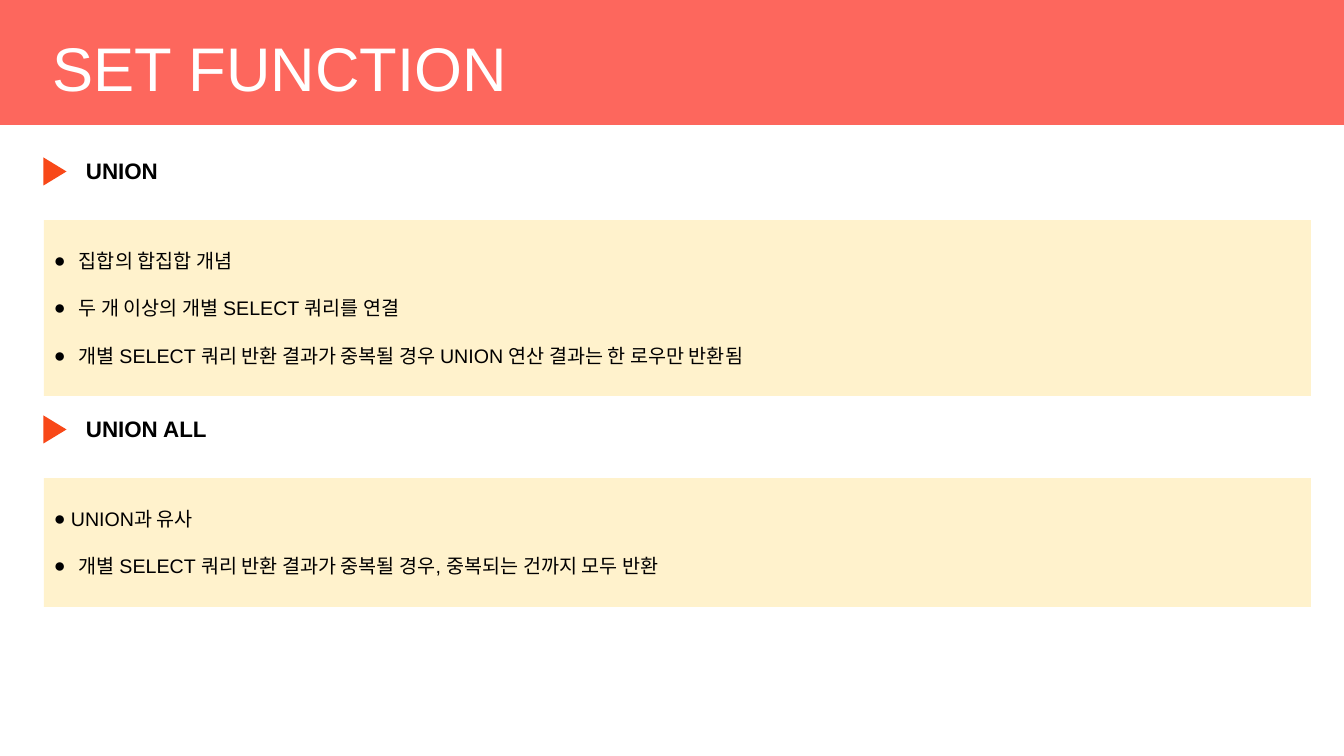
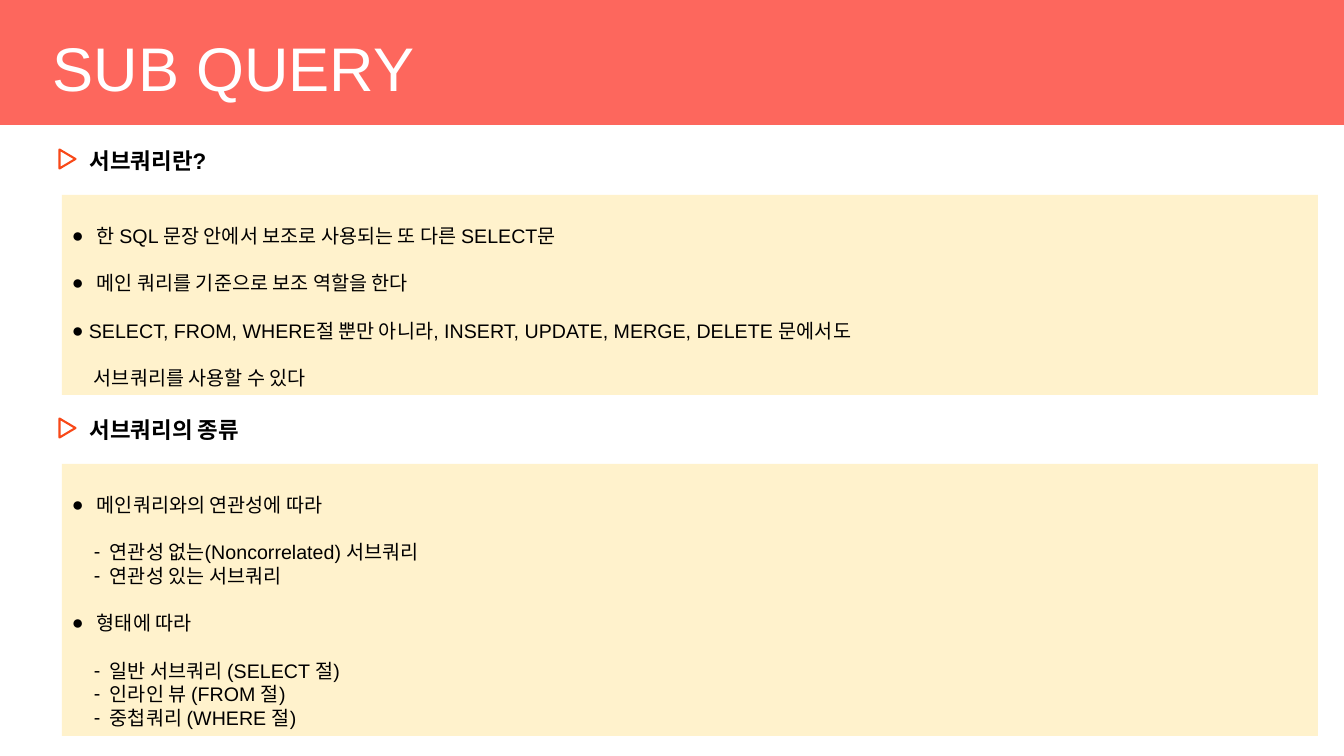
from pptx import Presentation
from pptx.dml.color import RGBColor
from pptx.enum.shapes import MSO_SHAPE
from pptx.enum.text import MSO_ANCHOR, PP_ALIGN
from pptx.oxml.xmlchemy import OxmlElement
from pptx.util import Emu, Pt

COLORS = {
    "band": "FD675D",
    "mark": "F84818",
    "box": "FFF2CC",
    "white": "FFFFFF",
    "black": "000000",
}
FONT = "Arial"
WIDE, HIGH = 1344, 756
GAP = 17  # points between items


def px(n):
    return Emu(round(n * 914400 / 100.8))


def color(name):
    return RGBColor.from_string(COLORS[name])


def write(para, text, size=14, bold=False, ink="black", gap=0):
    para.alignment = PP_ALIGN.LEFT
    para.space_before = Pt(gap)
    run = para.add_run()
    run.text = text
    run.font.name = FONT
    run.font.size = Pt(size)
    run.font.bold = bold
    run.font.color.rgb = color(ink)


def indent(para, left, hang, sign):
    props = para._p.get_or_add_pPr()
    props.set("marL", str(px(left)))
    props.set("indent", str(-px(hang)))
    if sign:
        for tag, key, value in (("a:buFont", "typeface", FONT),
                                ("a:buChar", "char", sign)):
            item = OxmlElement(tag)
            item.set(key, value)
            props.append(item)


class Deck:
    def __init__(self):
        self.prs = Presentation()
        self.prs.slide_width, self.prs.slide_height = px(WIDE), px(HIGH)
        self.slide = None

    # Slide with title band
    def page(self, title):
        self.slide = self.prs.slides.add_slide(self.prs.slide_layouts[6])
        self.shape(MSO_SHAPE.RECTANGLE, 0, 0, WIDE, 125, "band")
        self.label(title, 43, 30, 1159, 79, MSO_ANCHOR.BOTTOM,
                   size=44, ink="white")

    def shape(self, kind, x, y, w, h, fill, line=None):
        shape = self.slide.shapes.add_shape(kind, px(x), px(y), px(w), px(h))
        shape.shadow.inherit = False
        shape.fill.solid()
        shape.fill.fore_color.rgb = color(fill)
        if line:
            shape.line.color.rgb = color(line)
            shape.line.width = Pt(1.5)
        else:
            shape.line.fill.background()
        return shape

    def label(self, text, x, y, w, h, anchor=MSO_ANCHOR.TOP, **style):
        frame = self.slide.shapes.add_textbox(
            px(x), px(y), px(w), px(h)).text_frame
        frame.word_wrap = True
        frame.vertical_anchor = anchor
        write(frame.paragraphs[0], text, **style)

    # Triangle in front of a heading
    def mark(self, x, y, w, h, **style):
        kind = MSO_SHAPE.FLOWCHART_EXTRACT
        self.shape(kind, x, y, w, h, **style).rotation = 90

    # Tinted box with a list of (sign, text) items
    def panel(self, x, y, w, h, items):
        frame = self.shape(MSO_SHAPE.RECTANGLE, x, y, w, h, "box").text_frame
        frame.word_wrap = True
        frame.vertical_anchor = MSO_ANCHOR.TOP
        frame.margin_top = px(29)
        last = None
        for sign, text in items:
            para = frame.add_paragraph() if last is not None else frame.paragraphs[0]
            tight = last is None or sign == last == "-"
            write(para, text, gap=0 if tight else GAP)
            if sign == "●":
                hang = 17 if text[0].isascii() else 25
                indent(para, hang, hang, sign)
            elif sign == "-":
                indent(para, 38, 16, sign)
            else:
                indent(para, 22, 0, sign)
            last = sign

    # Solid mark, heading and panel
    def topic(self, y, head, h, items):
        self.label(head, 76, y, 932, 37, size=16, bold=True)
        self.mark(41, y + 8, 28, 23, fill="mark")
        self.panel(44, y + 68, 1267, h, items)

    # Outlined mark, heading and panel
    def point(self, y, head, h, items):
        self.label(head, 80, y, 932, 37, size=16, bold=True)
        self.mark(58, y + 9, 19, 16, fill="white", line="mark")
        self.panel(62, y + 53, 1256, h, items)


def main():
    deck = Deck()

    # Set functions
    deck.page("SET FUNCTION")
    deck.topic(152, "UNION", 176, [
        ("●", "집합의 합집합 개념"),
        ("●", "두 개 이상의 개별 SELECT 쿼리를 연결"),
        ("●", "개별 SELECT 쿼리 반환 결과가 중복될 경우 UNION 연산 결과는 한 로우만 반환됨"),
    ])
    deck.topic(410, "UNION ALL", 129, [
        ("●", "UNION과 유사"),
        ("●", "개별 SELECT 쿼리 반환 결과가 중복될 경우, 중복되는 건까지 모두 반환"),
    ])

    # Subqueries
    deck.page("SUB QUERY")
    deck.point(142, "서브쿼리란?", 200, [
        ("●", "한 SQL 문장 안에서 보조로 사용되는 또 다른 SELECT문"),
        ("●", "메인 쿼리를 기준으로 보조 역할을 한다"),
        ("●", "SELECT, FROM, WHERE절 뿐만 아니라, INSERT, UPDATE, MERGE, DELETE 문에서도"),
        ("", "서브쿼리를 사용할 수 있다"),
    ])
    deck.point(411, "서브쿼리의 종류", 272, [
        ("●", "메인쿼리와의 연관성에 따라"),
        ("-", "연관성 없는(Noncorrelated) 서브쿼리"),
        ("-", "연관성 있는 서브쿼리"),
        ("●", "형태에 따라"),
        ("-", "일반 서브쿼리 (SELECT 절)"),
        ("-", "인라인 뷰 (FROM 절)"),
        ("-", "중첩쿼리 (WHERE 절)"),
    ])

    deck.prs.save("out.pptx")


if __name__ == "__main__":
    main()
